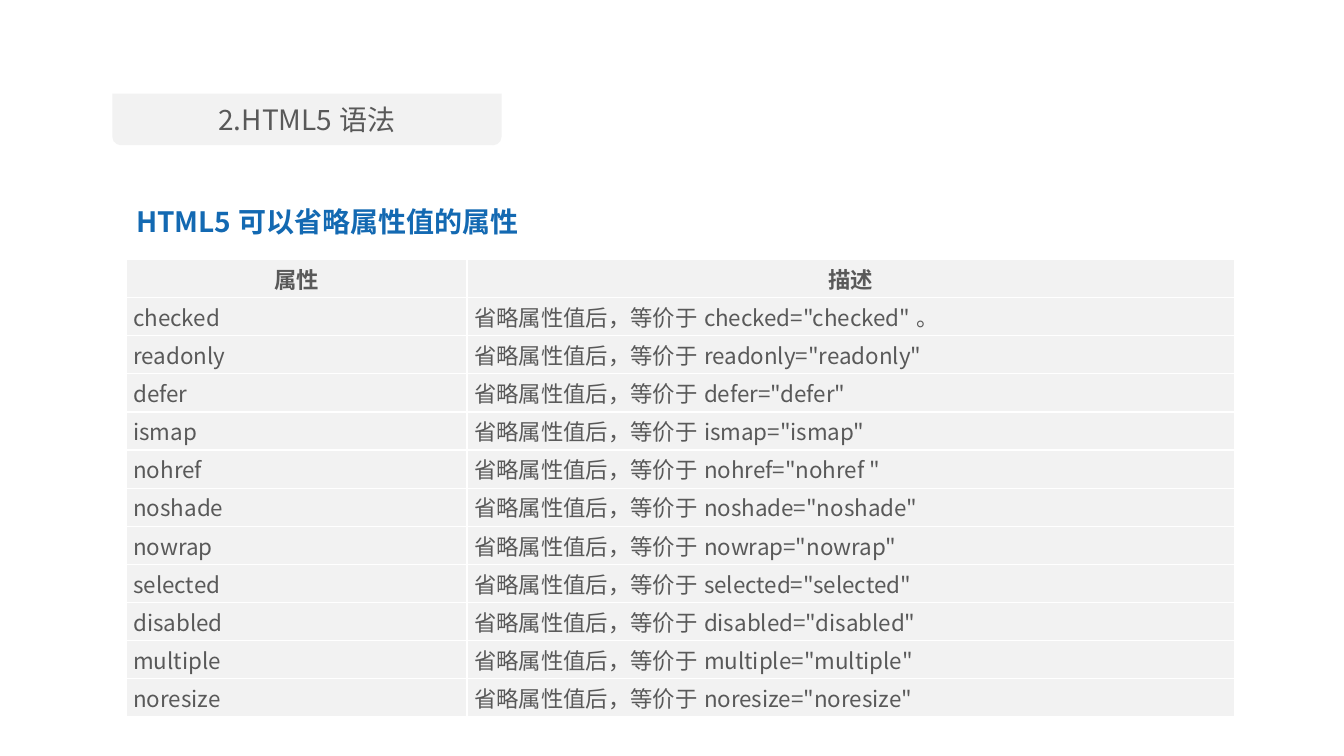
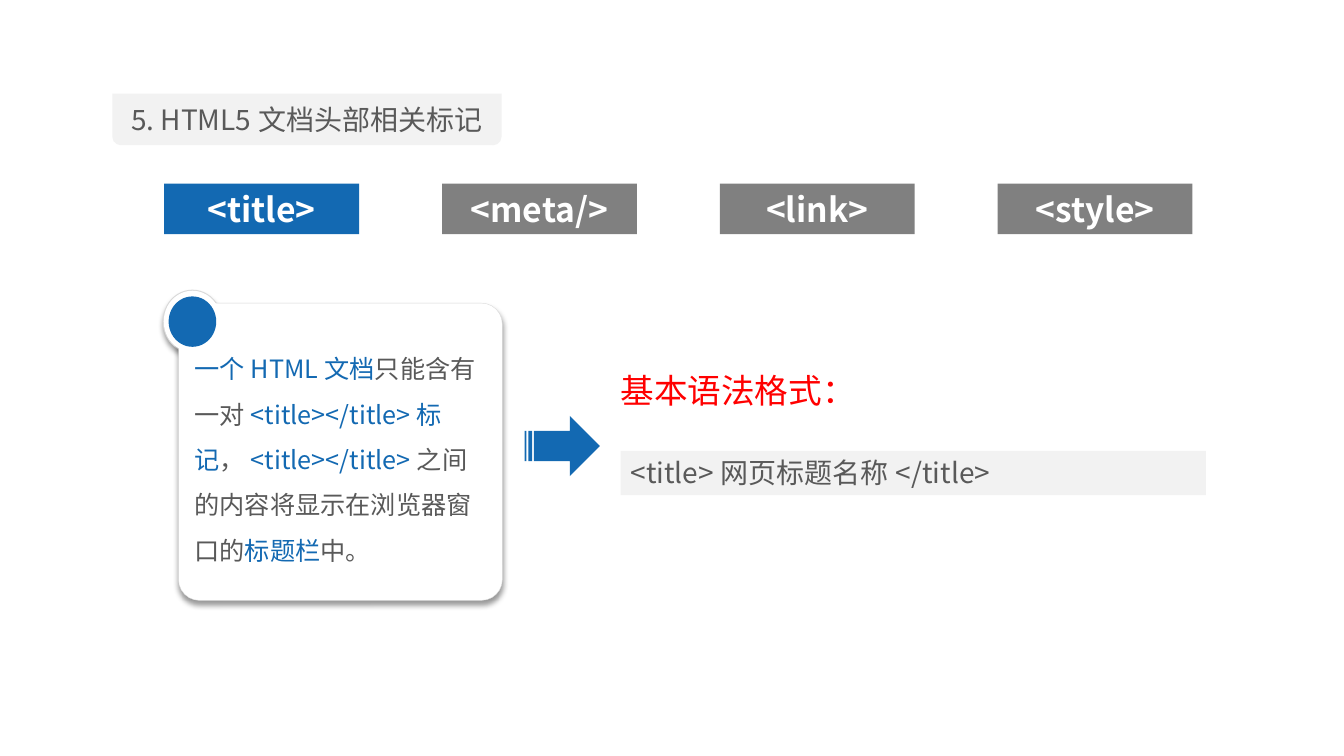
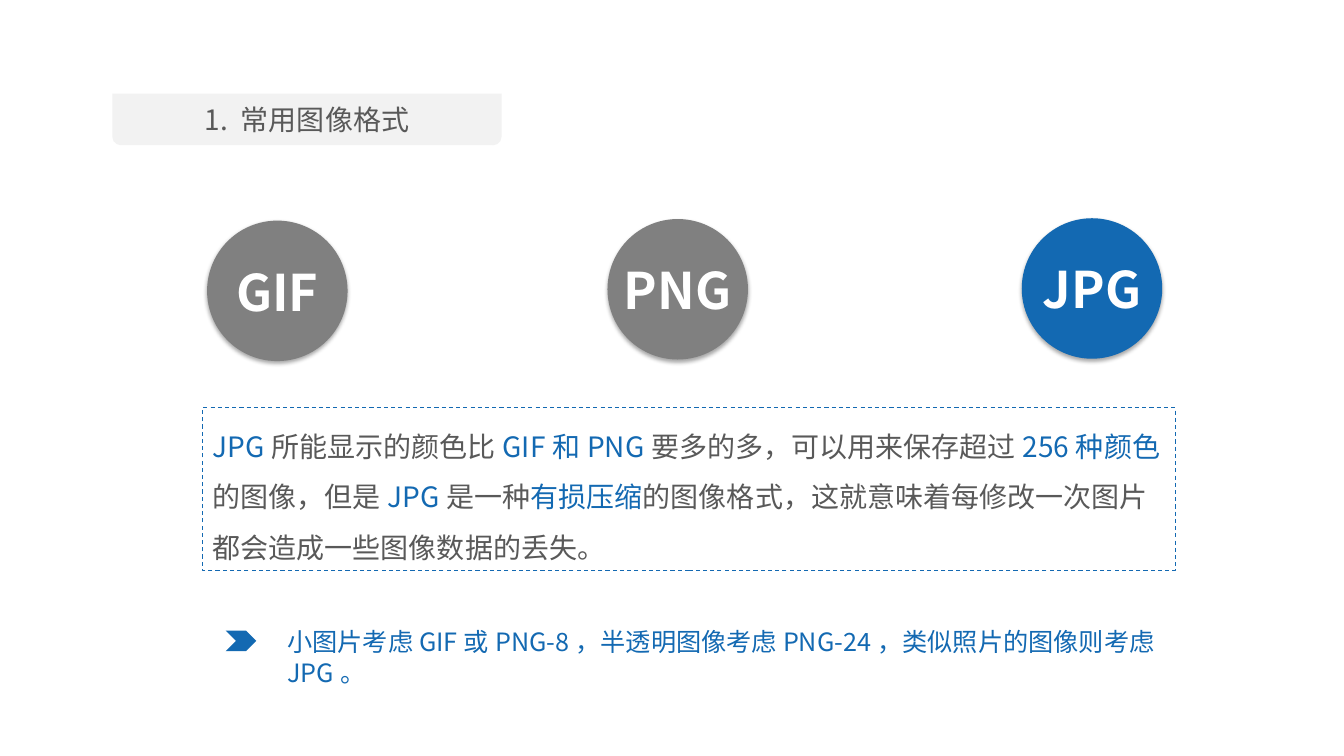
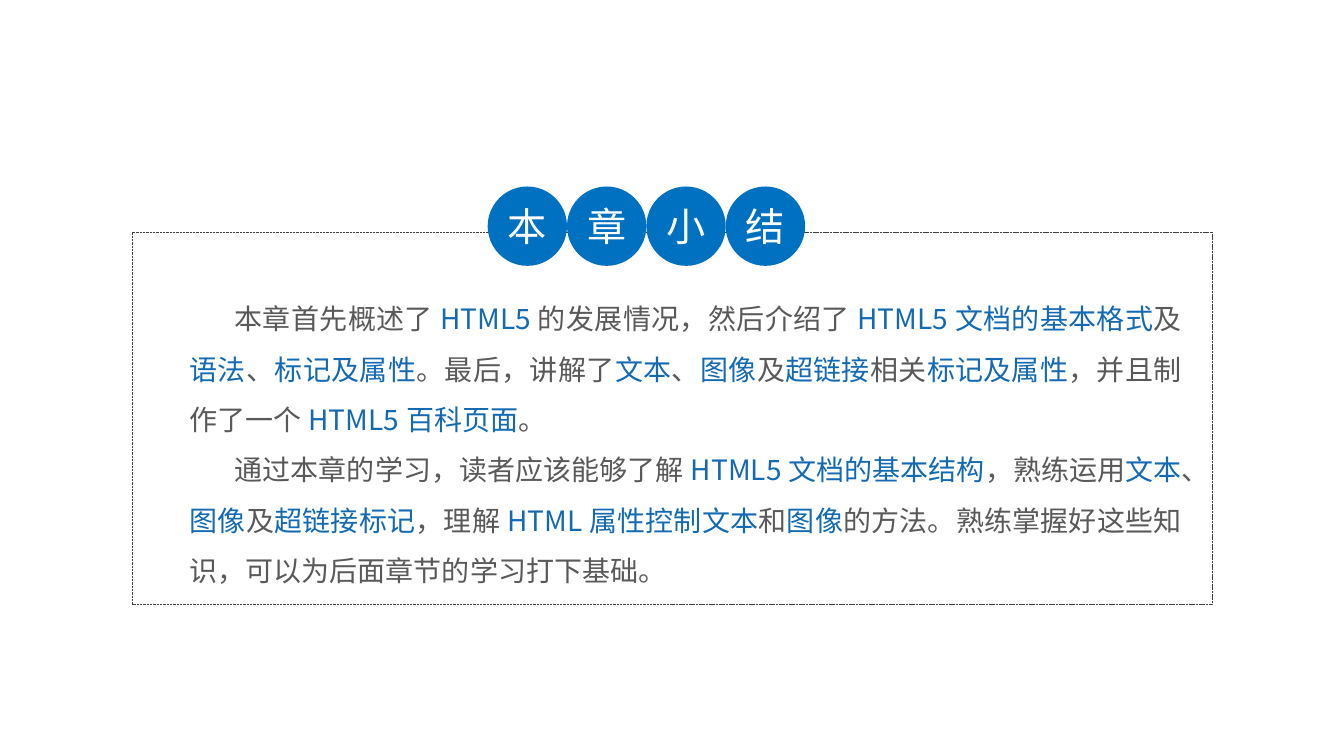
from lxml.etree import SubElement
from pptx import Presentation
from pptx.dml.color import RGBColor
from pptx.enum.dml import MSO_LINE
from pptx.enum.shapes import MSO_SHAPE
from pptx.enum.text import MSO_ANCHOR, PP_ALIGN
from pptx.oxml.ns import qn
from pptx.util import Cm, Pt

FONT = "Noto Sans CJK SC"
BLUE, SKY, RED = "1369B2", "0070C0", "FF0000"
TEXT, GREY, PALE = "595959", "808080", "F2F2F2"
WHITE, EDGE, DARK = "FFFFFF", "D9D9D9", "404040"
MID = MSO_ANCHOR.MIDDLE
CENTER, JUST = PP_ALIGN.CENTER, PP_ALIGN.JUSTIFY


def color(code):
    return RGBColor.from_string(code)


# Text: runs parted by "|" take the colours in turn
def write(frame, *paras, size=20, tints=(TEXT, BLUE), bold=False,
          align=PP_ALIGN.LEFT, space=None, indent=0, hang=True):
    for i, words in enumerate(paras):
        para = frame.add_paragraph() if i else frame.paragraphs[0]
        para.alignment = align
        if space:
            para.line_spacing = space
        if indent:
            para._p.get_or_add_pPr().set("indent", str(Cm(indent)))
        if not hang:
            para._p.get_or_add_pPr().set("hangingPunct", "0")
        for j, part in enumerate(words.split("|")):
            if not part:
                continue
            run = para.add_run()
            run.text = part
            font = run.font
            font.size, font.bold, font.name = Pt(size), bold, FONT
            font.color.rgb = color(tints[j % len(tints)])
            SubElement(run._r.get_or_add_rPr(), qn("a:ea"), typeface=FONT)


def setup(frame, wrap=True, anchor=MSO_ANCHOR.TOP, inset=None):
    frame.word_wrap = wrap
    frame.vertical_anchor = anchor
    if inset is not None:
        frame.margin_left = frame.margin_right = Cm(inset)
        frame.margin_top = frame.margin_bottom = Cm(inset)
    return frame


def label(slide, box, *paras, wrap=True, inset=None, **style):
    shape = slide.shapes.add_textbox(*map(Cm, box))
    write(setup(shape.text_frame, wrap, inset=inset), *paras, **style)


# Shapes: line is (colour, width), shade is (opacity, blur, offset)
def draw(slide, kind, box, fill=None, line=None, dash=None, shade=None):
    shape = slide.shapes.add_shape(kind, *map(Cm, box))
    if fill:
        shape.fill.solid()
        shape.fill.fore_color.rgb = color(fill)
    else:
        shape.fill.background()
    if line:
        shape.line.color.rgb = color(line[0])
        shape.line.width = Pt(line[1])
        if dash:
            shape.line.dash_style = dash
    else:
        shape.line.fill.background()
    shape.shadow.inherit = False
    if shade:
        alpha, blur, dist = shade
        node = SubElement(shape._element.spPr.find(qn("a:effectLst")),
                          qn("a:outerShdw"), blurRad=str(Pt(blur)),
                          dist=str(Pt(dist)), dir="5400000",
                          algn="t", rotWithShape="0")
        tint = SubElement(node, qn("a:srgbClr"), val="000000")
        SubElement(tint, qn("a:alpha"), val=str(alpha * 1000))
    return shape


def banner(slide, title, box=(2.83, 2.36, 9.81, 1.3)):
    left, top, width, height = box
    draw(slide, MSO_SHAPE.ROUND_2_SAME_RECTANGLE, box, PALE).rotation = 180
    label(slide, (left, top + 0.1, width, height - 0.2), title, align=CENTER)


# Table with white rules
def rule(cell):
    props = cell._tc.get_or_add_tcPr()
    for side in ("lnL", "lnR", "lnT", "lnB"):
        edge = SubElement(props, qn("a:" + side), w=str(Pt(1)))
        paint = SubElement(edge, qn("a:solidFill"))
        SubElement(paint, qn("a:srgbClr"), val=WHITE)


def grid(slide, box, rows, widths):
    table = slide.shapes.add_table(len(rows), len(widths), *map(Cm, box)).table
    table.first_row = table.horz_banding = False
    for col, width in zip(table.columns, widths):
        col.width = Cm(width)
    for i, row in enumerate(rows):
        table.rows[i].height = Cm(box[3] / len(rows))
        for j, words in enumerate(row):
            cell = table.cell(i, j)
            rule(cell)
            cell.fill.solid()
            cell.fill.fore_color.rgb = color(PALE)
            cell.vertical_anchor = MID
            cell.margin_left = cell.margin_right = Cm(0.18)
            cell.margin_top = cell.margin_bottom = 0
            write(cell.text_frame, words, size=16, bold=i == 0,
                  align=PP_ALIGN.LEFT if i else CENTER)


# Row of tabs with one picked out
def tabs(slide, box, names, pick, pitch):
    left, top, width, height = box
    for i, name in enumerate(names):
        shape = draw(slide, MSO_SHAPE.RECTANGLE,
                     (left + i * pitch, top, width, height),
                     BLUE if i == pick else GREY)
        write(setup(shape.text_frame), name, size=24, tints=[WHITE],
              bold=True, align=CENTER)


# Raised card with a round badge on its corner
def card(slide, box, words):
    left, top, width, height = box
    shade = (40, 4, 3)
    disc = (left, top, 1.42, 1.52)
    draw(slide, MSO_SHAPE.OVAL, disc, WHITE, (EDGE, 2.25), shade=shade)
    panel = draw(slide, MSO_SHAPE.ROUNDED_RECTANGLE,
                 (left + 0.36, top + 0.3, width - 0.36, height - 0.3),
                 WHITE, (EDGE, 0.25), shade=shade)
    panel.adjustments[0] = 0.07
    write(setup(panel.text_frame, anchor=MID), words, size=18, space=1.5,
          hang=False)
    draw(slide, MSO_SHAPE.OVAL, disc, WHITE, (WHITE, 0.75))
    draw(slide, MSO_SHAPE.OVAL, (left + 0.11, top + 0.13, 1.2, 1.27), BLUE)


def syntax(slide, box, title, code):
    left, top, width, height = box
    bar = draw(slide, MSO_SHAPE.RECTANGLE,
               (left + 0.25, top + height - 1.12, width - 0.25, 1.12), PALE)
    write(setup(bar.text_frame), code)
    label(slide, (left, top, 6.5, 1.3), title, wrap=False, size=24, tints=[RED])


# Disc with a centred word
def disc(slide, box, word, fill, size, bold=False, shade=None):
    shape = draw(slide, MSO_SHAPE.OVAL, box, fill, shade=shade)
    write(setup(shape.text_frame, False, MID, 0), word, size=size,
          tints=[WHITE], bold=bold, align=CENTER)


def tip(slide, box, words):
    left, top, width, height = box
    draw(slide, MSO_SHAPE.CHEVRON, (left, top + 0.22, 0.77, 0.52), BLUE)
    label(slide, (left + 1.3, top, width - 1.3, height), words,
          size=18, tints=[BLUE])


# Framed summary with its title set on the top edge
def recap(slide, box, title, paras):
    left, top, width, height = box
    draw(slide, MSO_SHAPE.RECTANGLE, box, None, (DARK, 0.25),
         MSO_LINE.SQUARE_DOT)
    label(slide, (left + 1.45, top + 1.34, width - 2.22, height - 1.84), *paras,
          inset=0, align=JUST, space=1.5, indent=1.13)
    side = 2
    for i, char in enumerate(title):
        disc(slide, (left + 8.96 + i * side, top - 1.14, side, side),
             char, SKY, 28)


# Slides
def attrs(slide):
    banner(slide, "2.HTML5语法")
    label(slide, (3.18, 5.03, 10.24, 1.12), "HTML5可以省略属性值的属性",
          wrap=False, tints=[BLUE], bold=True)
    lead = "省略属性值后，等价于"
    tails = {"checked": '"。', "nohref": ' "'}
    names = ("checked readonly defer ismap nohref noshade nowrap "
             "selected disabled multiple noresize").split()
    rows = [("属性", "描述")]
    for name in names:
        tail = tails.get(name, '"')
        rows.append((name, f'{lead}{name}="{name}{tail}'))
    grid(slide, (3.18, 6.54, 27.94, 11.52), rows, (8.59, 19.35))


def head(slide):
    banner(slide, "5. HTML5文档头部相关标记")
    tabs(slide, (4.14, 4.63, 4.91, 1.27),
         ("<title>", "<meta/>", "<link>", "<style>"), 0, 7)
    card(slide, (4.14, 7.34, 8.52, 7.79),
         "|一个HTML文档|只能含有一对|<title></title>标记|，|<title></title>|"
         "之间的内容将显示在浏览器窗口的|标题栏|中。")
    draw(slide, MSO_SHAPE.STRIPED_RIGHT_ARROW, (13.22, 10.48, 1.9, 1.52), BLUE)
    syntax(slide, (15.39, 9.19, 15, 3.29), "基本语法格式：",
           "<title>网页标题名称</title>")


def images(slide):
    banner(slide, "1. 常用图像格式")
    for left, top, name, fill in ((5.22, 5.56, "GIF", GREY),
                                  (15.31, 5.52, "PNG", GREY),
                                  (25.75, 5.5, "JPG", BLUE)):
        disc(slide, (left, top, 3.54, 3.54), name, fill, 36, True,
             (35, 3.1, 1.8))
    frame = draw(slide, MSO_SHAPE.RECTANGLE, (5.11, 10.27, 24.51, 4.11),
                 WHITE, (BLUE, 0.75), MSO_LINE.DASH)
    write(setup(frame.text_frame),
          "|JPG|所能显示的颜色比|GIF和PNG|要多的多，可以用来保存超过|256种颜色|"
          "的图像，但是|JPG|是一种|有损压缩|的图像格式，"
          "这就意味着每修改一次图片都会造成一些图像数据的丢失。", space=1.5)
    tip(slide, (5.69, 15.67, 24.69, 1.02),
        "小图片考虑GIF或PNG-8，半透明图像考虑PNG-24，类似照片的图像则考虑JPG。")


def close(slide):
    recap(slide, (3.33, 5.84, 27.22, 9.38), "本章小结", (
        "本章首先概述了|HTML5|的发展情况，然后介绍了|HTML5文档的基本格式|及|语法|、|"
        "标记及属性|。最后，讲解了|文本|、|图像|及|超链接|相关|标记及属性|，"
        "并且制作了一个|HTML5百科页面|。",
        "通过本章的学习，读者应该能够了解|HTML5文档的基本结构|，熟练运用|文本|、|"
        "图像|及|超链接标记|，理解|HTML属性控制文本|和|图像|的方法。"
        "熟练掌握好这些知识，可以为后面章节的学习打下基础。"))


def main():
    deck = Presentation()
    deck.slide_width, deck.slide_height = Cm(33.87), Cm(19.05)
    for build in (attrs, head, images, close):
        build(deck.slides.add_slide(deck.slide_layouts[6]))
    deck.save("out.pptx")


if __name__ == "__main__":
    main()
